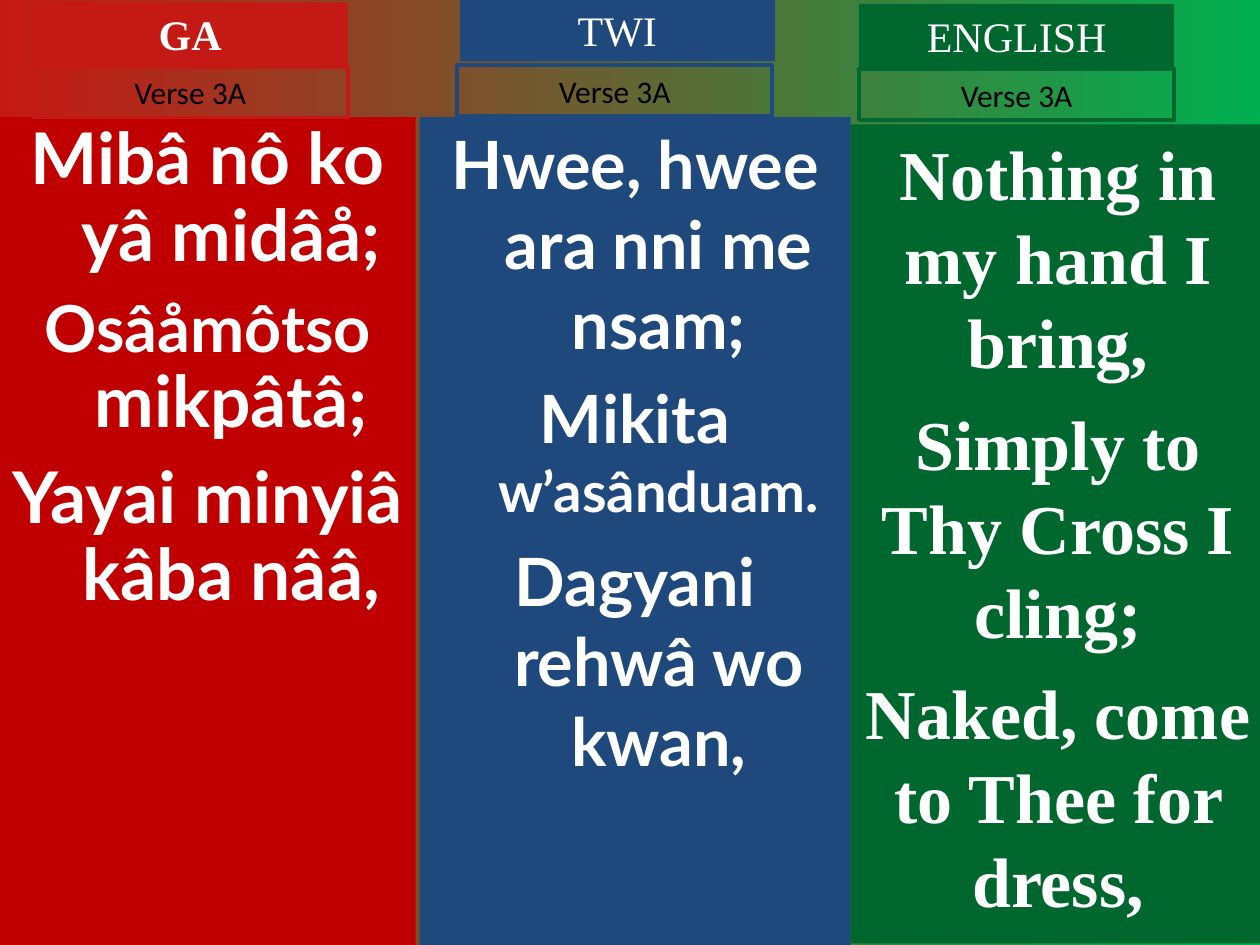
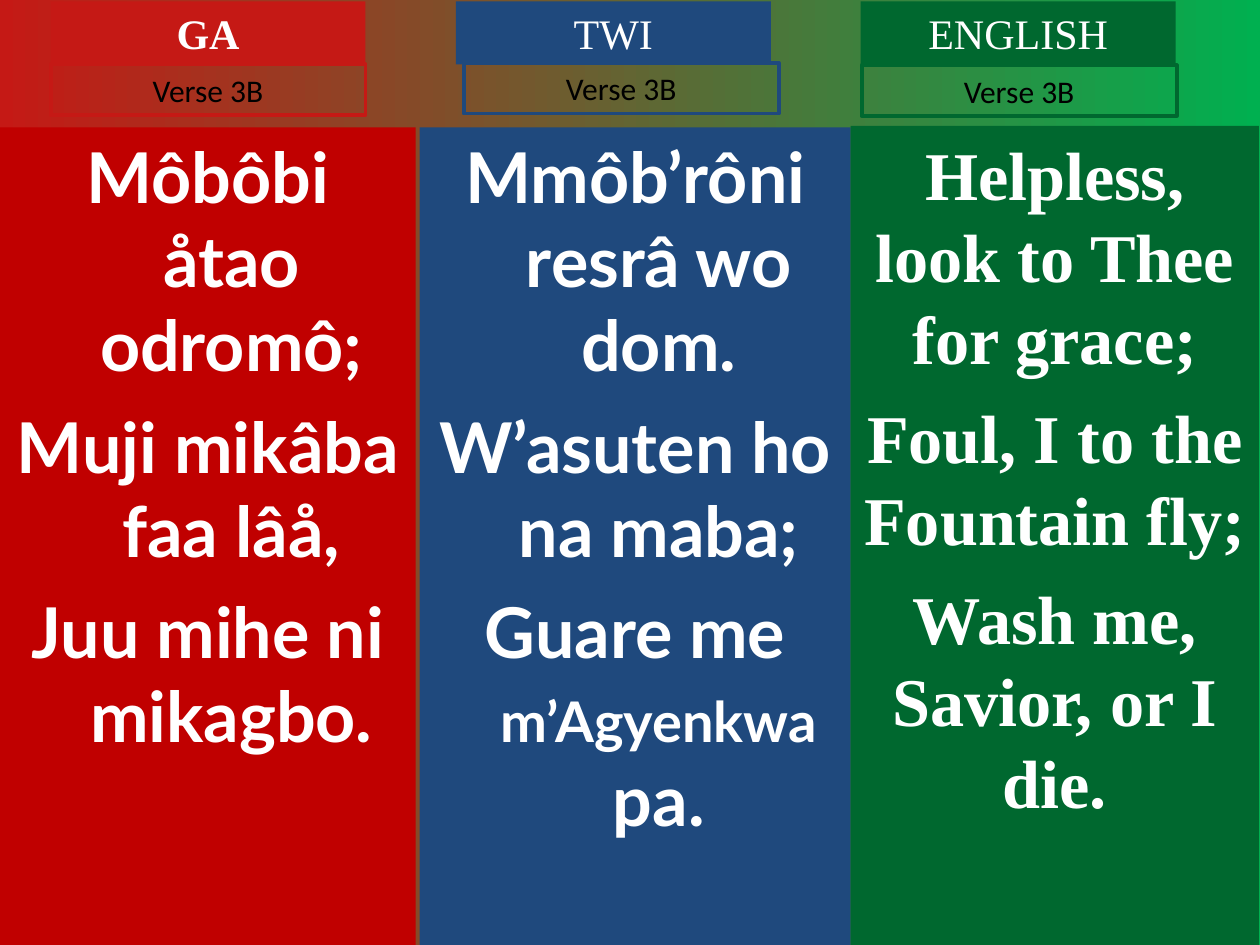
from dataclasses import dataclass

from pptx import Presentation
from pptx.dml.color import RGBColor
from pptx.enum.shapes import MSO_SHAPE
from pptx.enum.text import MSO_ANCHOR, MSO_AUTO_SIZE, PP_ALIGN
from pptx.util import Cm, Pt

SLIDE_WIDTH, SLIDE_HEIGHT = 25.4, 19.05
LABEL_WIDTH, TITLE_HEIGHT, VERSE_HEIGHT = 6.35, 1.27, 1.02
HANGING_INDENT = 0.95
WHITE, BLACK = "FFFFFF", "000000"
SERIF, LYRIC_FONT, VERSE_FONT = "Times New Roman", "Lato", "Calibri"


@dataclass
class Language:
    name: str
    label_colour: str
    panel_colour: str
    font: str = LYRIC_FONT
    bold_title: bool = False
    hanging: bool = True


@dataclass
class Column:
    language: Language
    panel: tuple
    title_at: tuple
    verse_at: tuple
    lyrics: list
    size: float
    spaces: tuple
    line_spacing: float = 1.0


GA = Language("GA", "C51915", "C00000", bold_title=True)
TWI = Language("TWI", "1F497D", "1F497D")
ENGLISH = Language("ENGLISH", "00682F", "00682F", font=SERIF, hanging=False)

VERSES = {
    "Verse 3A": [
        Column(GA, (0, 2.36, 8.38, 16.69), (0.66, 0.05), (0.66, 1.35),
               [["Mibâ nô ko yâ midâå;"],
                [("Osâåmôtso ", 37), "mikpâtâ;"],
                ["Yayai minyiâ kâba nââ,"]],
               40.7, (0, 11, 11), 0.9),
        Column(TWI, (8.46, 2.36, 8.69, 16.69), (9.27, -0.03), (9.22, 1.32),
               [["Hwee, hwee ara nni me nsam;"],
                ["Mikita ", ("w’asânduam.", 32)],
                ["Dagyani rehwâ wo kwan,"]],
               38, (0, 8, 9.5)),
        Column(ENGLISH, (17.15, 2.51, 8.36, 16.51), (17.32, 0.08), (17.32, 1.4),
               [["Nothing in my hand I bring,"],
                ["Simply to Thy Cross I cling;"],
                ["Naked, come to Thee for dress,"]],
               40, (0, 10, 10)),
    ],
    "Verse 3B": [
        Column(GA, (0, 2.57, 8.38, 16.48), (1.02, 0.03), (1.02, 1.3),
               [["Môbôbi åtao odromô;"],
                ["Muji mikâba faa lâå,"],
                ["Juu mihe ni mikagbo."]],
               40, (0, 10, 10)),
        Column(TWI, (8.46, 2.57, 8.69, 16.48), (9.19, 0.03), (9.35, 1.27),
               [["Mmôb’rôni resrâ wo dom."],
                ["W’asuten ho na maba;"],
                ["Guare me ", ("m’Agyenkwa", 32), " pa."]],
               40, (0, 10, 10)),
        Column(ENGLISH, (17.15, 2.54, 8.23, 16.51), (17.35, 0.03), (17.37, 1.32),
               [["Helpless, look to Thee for grace;"],
                ["Foul, I to the Fountain fly;"],
                ["Wash me, Savior, or I die."]],
               39, (0, 9.8, 9.8)),
    ],
}


def colour(hex_text):
    return RGBColor.from_string(hex_text)


def format_span(span, font, size, text_colour, bold):
    span.font.name = font
    span.font.size = Pt(size)
    span.font.bold = bold
    span.font.color.rgb = colour(text_colour)


def add_box(page, left, top, width, height, fill=None, line=None):
    box = page.shapes.add_shape(
        MSO_SHAPE.RECTANGLE, Cm(left), Cm(top), Cm(width), Cm(height))
    box.shadow.inherit = False
    if fill:
        box.fill.solid()
        box.fill.fore_color.rgb = colour(fill)
    else:
        box.fill.background()
    if line:
        box.line.color.rgb = colour(line)
        box.line.width = Pt(2.25)
    else:
        box.line.fill.background()
    box.text_frame.word_wrap = True
    box.text_frame.vertical_anchor = MSO_ANCHOR.TOP
    return box


def add_label(page, text, position, height, font, size, text_colour,
              bold=False, **paint):
    box = add_box(page, *position, LABEL_WIDTH, height, **paint)
    frame = box.text_frame
    frame.auto_size = MSO_AUTO_SIZE.SHAPE_TO_FIT_TEXT
    frame.text = text
    para = frame.paragraphs[0]
    para.alignment = PP_ALIGN.CENTER
    format_span(para.runs[0], font, size, text_colour, bold)


def add_lyrics(page, column):
    language = column.language
    box = add_box(page, *column.panel, fill=language.panel_colour)
    frame = box.text_frame
    for index, (parts, space) in enumerate(zip(column.lyrics, column.spaces)):
        para = frame.add_paragraph() if index else frame.paragraphs[0]
        para.alignment = PP_ALIGN.CENTER
        para.line_spacing = column.line_spacing
        para.space_before = Pt(space)
        if language.hanging:
            properties = para._p.get_or_add_pPr()
            properties.set("marL", str(Cm(HANGING_INDENT)))
            properties.set("indent", str(-Cm(HANGING_INDENT)))
        for part in parts:
            text, size = part if isinstance(part, tuple) else (part, column.size)
            span = para.add_run()
            span.text = text
            format_span(span, language.font, size, WHITE, True)


def add_column(page, verse, column):
    language = column.language
    add_lyrics(page, column)
    add_label(page, language.name, column.title_at, TITLE_HEIGHT, SERIF, 24,
              WHITE, language.bold_title, fill=language.label_colour)
    add_label(page, verse, column.verse_at, VERSE_HEIGHT, VERSE_FONT, 18,
              BLACK, line=language.label_colour)


def add_page(deck):
    page = deck.slides.add_slide(deck.slide_layouts[6])
    fill = page.background.fill
    fill.gradient()
    fill.gradient_angle = 0
    for stop, hex_text in zip(fill.gradient_stops, ("C51915", "00B050")):
        stop.color.rgb = colour(hex_text)
    return page


def main():
    deck = Presentation()
    deck.slide_width = Cm(SLIDE_WIDTH)
    deck.slide_height = Cm(SLIDE_HEIGHT)
    for verse, columns in VERSES.items():
        page = add_page(deck)
        for column in columns:
            add_column(page, verse, column)
    deck.save("out.pptx")


if __name__ == "__main__":
    main()
